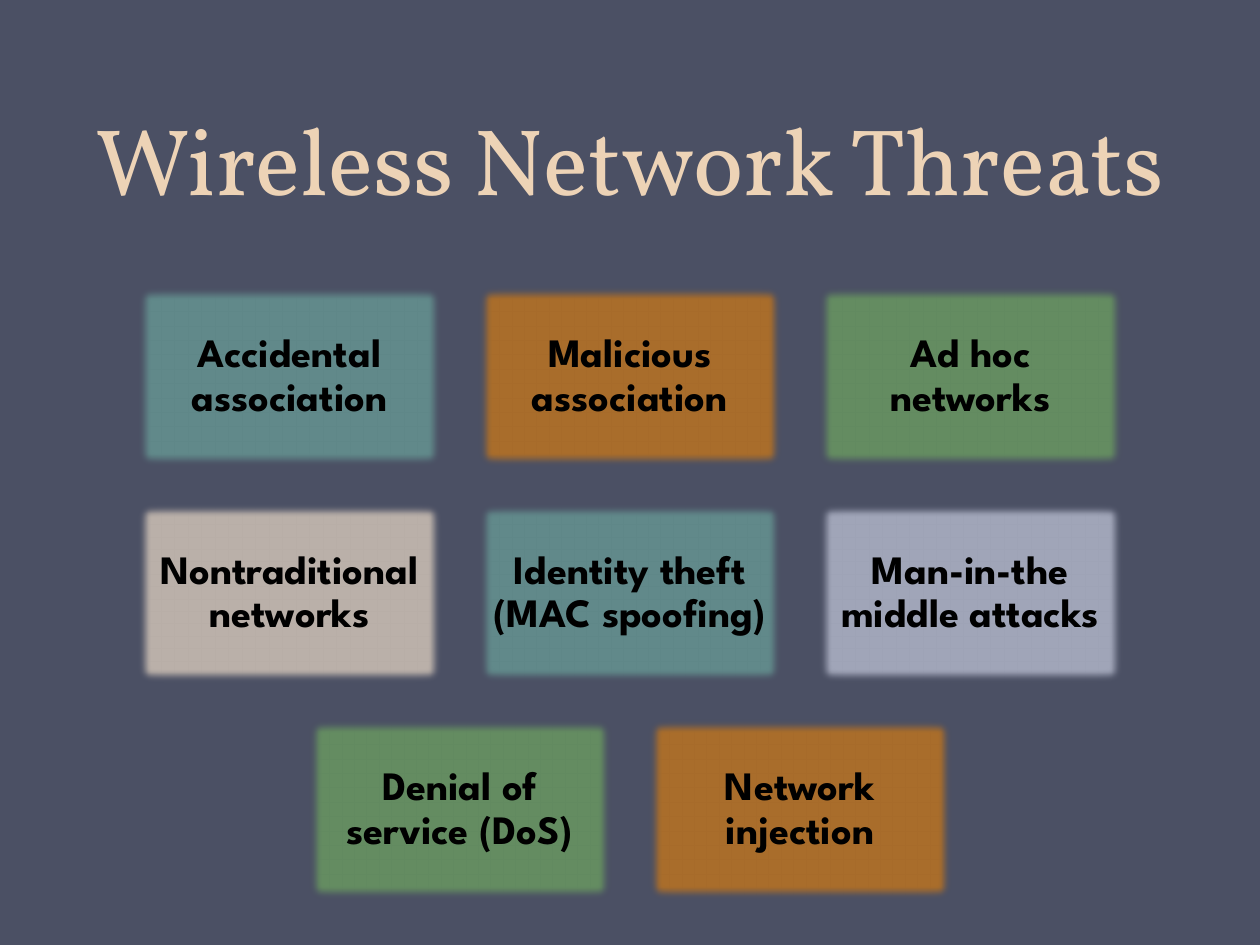
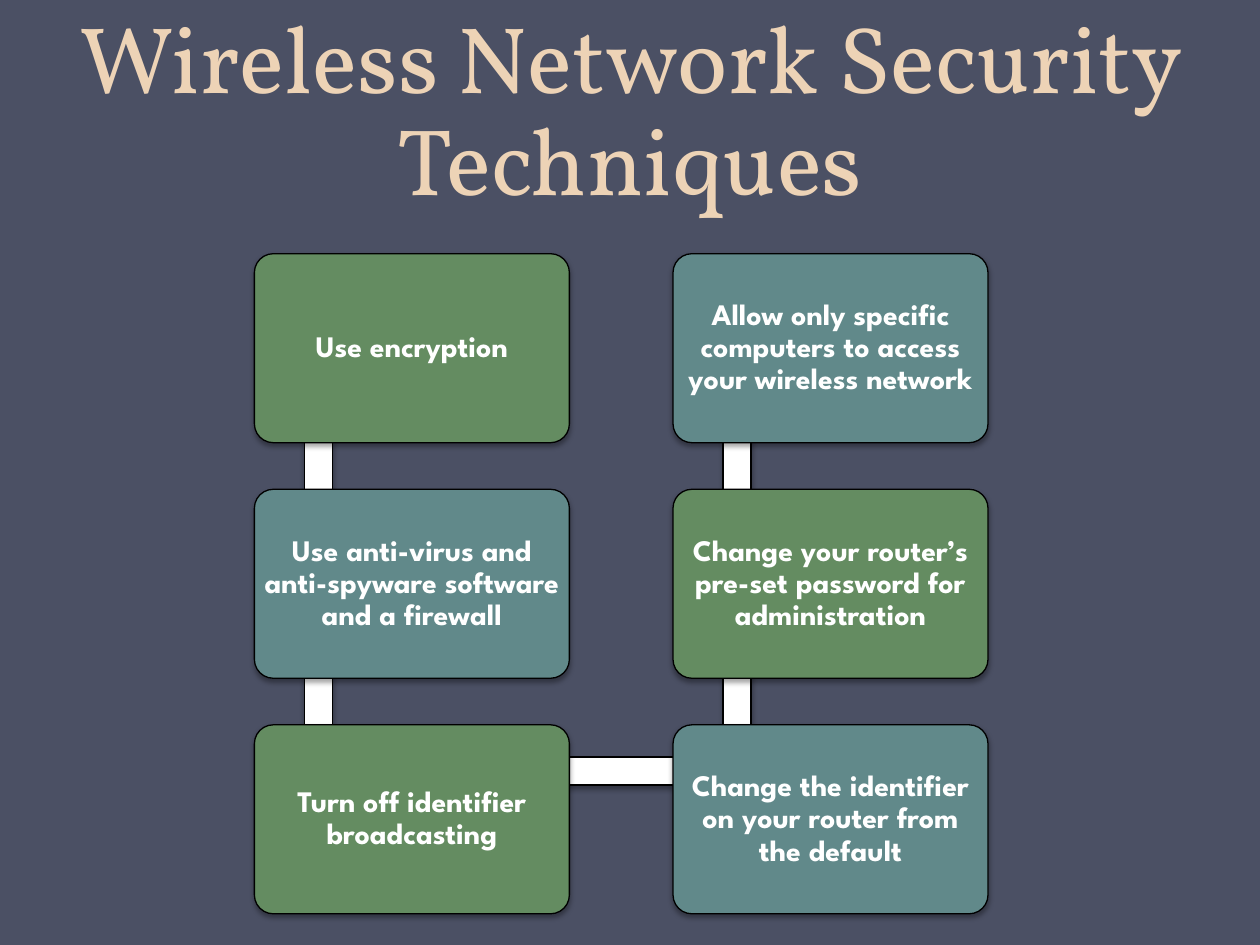
from dataclasses import dataclass

from lxml import etree
from pptx import Presentation
from pptx.dml.color import RGBColor
from pptx.enum.shapes import MSO_SHAPE
from pptx.enum.text import MSO_ANCHOR, MSO_AUTO_SIZE, PP_ALIGN
from pptx.oxml.ns import qn
from pptx.util import Pt

RECTANGLE = MSO_SHAPE.RECTANGLE
ROUNDED = MSO_SHAPE.ROUNDED_RECTANGLE
CENTER = PP_ALIGN.CENTER
MIDDLE, BOTTOM = MSO_ANCHOR.MIDDLE, MSO_ANCHOR.BOTTOM
NO_AUTOFIT = MSO_AUTO_SIZE.NONE
TITLE_ONLY = 5


@dataclass(frozen=True)
class Theme:
    background: str = "4B5064"
    title: str = "EDD3B6"
    teal: str = "61898A"
    orange: str = "A96D2B"
    green: str = "648C61"
    taupe: str = "BAB0A9"
    lavender: str = "A0A5B8"
    black: str = "000000"
    white: str = "FFFFFF"
    title_font: str = "Vollkorn"
    body_font: str = "League Spartan"
    title_size: float = 54
    threat_size: float = 23
    technique_size: float = 17


THEME = Theme()

THREATS_TITLE = "Wireless Network Threats"
THREAT_ROWS = [
    [("Accidental association", THEME.teal),
     ("Malicious association", THEME.orange),
     ("Ad hoc networks", THEME.green)],
    [("Nontraditional networks", THEME.taupe),
     ("Identity theft (MAC spoofing)", THEME.teal),
     ("Man-in-the middle attacks", THEME.lavender)],
    [("Denial of service (DoS)", THEME.green),
     ("Network injection", THEME.orange)],
]

TECHNIQUES_TITLE = "Wireless Network Security Techniques"
TECHNIQUES = [
    "Use encryption",
    "Use anti-virus and anti-spyware software and a firewall",
    "Turn off identifier broadcasting",
    "Change the identifier on your router from the default",
    "Change your router’s pre-set password for administration",
    "Allow only specific computers to access your wireless network",
]

SLIDE_WIDTH, SLIDE_HEIGHT = 720, 540
TITLE_BOX = (36, 0, 648, 126)

THREAT_WIDTH, THREAT_HEIGHT, THREAT_GAP, THREAT_TOP = 176.8, 106.1, 17.7, 162

TECHNIQUE_WIDTH, TECHNIQUE_HEIGHT = 180, 108
TECHNIQUE_LEFT, TECHNIQUE_TOP = 145.4, 145
COLUMN_PITCH, ROW_PITCH, ROWS = 239.2, 134.6, 3
PATH_OFFSET_X, PATH_OFFSET_Y, PATH_THICKNESS = 36.6, 26.4, 16


def format_text(frame, text, font_format, line_spacing, anchor, inset=None):
    frame.text = text
    frame.word_wrap = True
    frame.auto_size = NO_AUTOFIT
    frame.vertical_anchor = anchor
    if inset is not None:
        for side in ("left", "right", "top", "bottom"):
            setattr(frame, f"margin_{side}", Pt(inset))
    paragraph = frame.paragraphs[0]
    paragraph.alignment = CENTER
    paragraph.line_spacing = line_spacing
    font = paragraph.runs[0].font
    color = font_format["color"]
    for name, value in font_format.items():
        if name != "color":
            setattr(font, name, value)
    font.color.rgb = RGBColor.from_string(color)


def add_titled_slide(presentation, text):
    slide = presentation.slides.add_slide(presentation.slide_layouts[TITLE_ONLY])
    title = slide.shapes.title
    title.left, title.top, title.width, title.height = map(Pt, TITLE_BOX)
    title_format = {"name": THEME.title_font, "size": Pt(THEME.title_size),
                    "color": THEME.title}
    format_text(title.text_frame, text, title_format, Pt(58), BOTTOM)
    return slide


def add_block(slide, kind, box, fill):
    shape = slide.shapes.add_shape(kind, *map(Pt, box))
    shape.shadow.inherit = False
    shape.fill.solid()
    shape.fill.fore_color.rgb = RGBColor.from_string(fill)
    shape.line.fill.background()
    return shape


def add_effect(shape, tag, **attributes):
    effects = shape._element.spPr.find(qn("a:effectLst"))
    values = {name: str(value) for name, value in attributes.items()}
    return etree.SubElement(effects, qn(tag), values)


def outline_and_shade(shape):
    shape.line.color.rgb = RGBColor.from_string(THEME.black)
    shape.line.width = Pt(0.75)
    shadow = add_effect(shape, "a:outerShdw", blurRad=Pt(3.1), dist=Pt(1.8),
                        dir=90 * 60000, rotWithShape=0)
    color = etree.SubElement(shadow, qn("a:srgbClr"), val=THEME.black)
    etree.SubElement(color, qn("a:alpha"), val="35000")


def body_format(size, color):
    return {"name": THEME.body_font, "size": Pt(size), "bold": True, "color": color}


def build_threats(presentation):
    slide = add_titled_slide(presentation, THREATS_TITLE)
    font_format = body_format(THEME.threat_size, THEME.black)
    pitch = THREAT_WIDTH + THREAT_GAP
    for row, threats in enumerate(THREAT_ROWS):
        left = (SLIDE_WIDTH - len(threats) * pitch + THREAT_GAP) / 2
        top = THREAT_TOP + row * (THREAT_HEIGHT + THREAT_GAP)
        for column, (text, fill) in enumerate(threats):
            box = (left + column * pitch, top, THREAT_WIDTH, THREAT_HEIGHT)
            tile = add_block(slide, RECTANGLE, box, fill)
            add_effect(tile, "a:softEdge", rad=Pt(5))
            format_text(tile.text_frame, text, font_format, 0.9, MIDDLE, 7)


def technique_position(index):
    """Run down the first column, then up the second."""
    column, step = divmod(index, ROWS)
    row = ROWS - 1 - step if column else step
    return TECHNIQUE_LEFT + column * COLUMN_PITCH, TECHNIQUE_TOP + row * ROW_PITCH


def build_techniques(presentation):
    slide = add_titled_slide(presentation, TECHNIQUES_TITLE)
    positions = [technique_position(index) for index in range(len(TECHNIQUES))]
    for (x1, y1), (x2, y2) in zip(positions, positions[1:]):
        vertical = x1 == x2
        left = min(x1, x2) + PATH_OFFSET_X - vertical * PATH_THICKNESS / 2
        top = min(y1, y2) + PATH_OFFSET_Y - (not vertical) * PATH_THICKNESS / 2
        box = (left, top, abs(x2 - x1) or PATH_THICKNESS, abs(y2 - y1) or PATH_THICKNESS)
        outline_and_shade(add_block(slide, RECTANGLE, box, THEME.white))

    font_format = body_format(THEME.technique_size, THEME.white)
    fills = (THEME.green, THEME.teal)
    for index, (text, position) in enumerate(zip(TECHNIQUES, positions)):
        box = (*position, TECHNIQUE_WIDTH, TECHNIQUE_HEIGHT)
        card = add_block(slide, ROUNDED, box, fills[index % 2])
        card.adjustments[0] = 0.1
        outline_and_shade(card)
        format_text(card.text_frame, text, font_format, 0.9, MIDDLE, 1.9)


def main():
    presentation = Presentation()
    presentation.slide_width, presentation.slide_height = Pt(SLIDE_WIDTH), Pt(SLIDE_HEIGHT)
    background = presentation.slide_master.background.fill
    background.solid()
    background.fore_color.rgb = RGBColor.from_string(THEME.background)
    build_threats(presentation)
    build_techniques(presentation)
    presentation.save("out.pptx")


if __name__ == "__main__":
    main()
